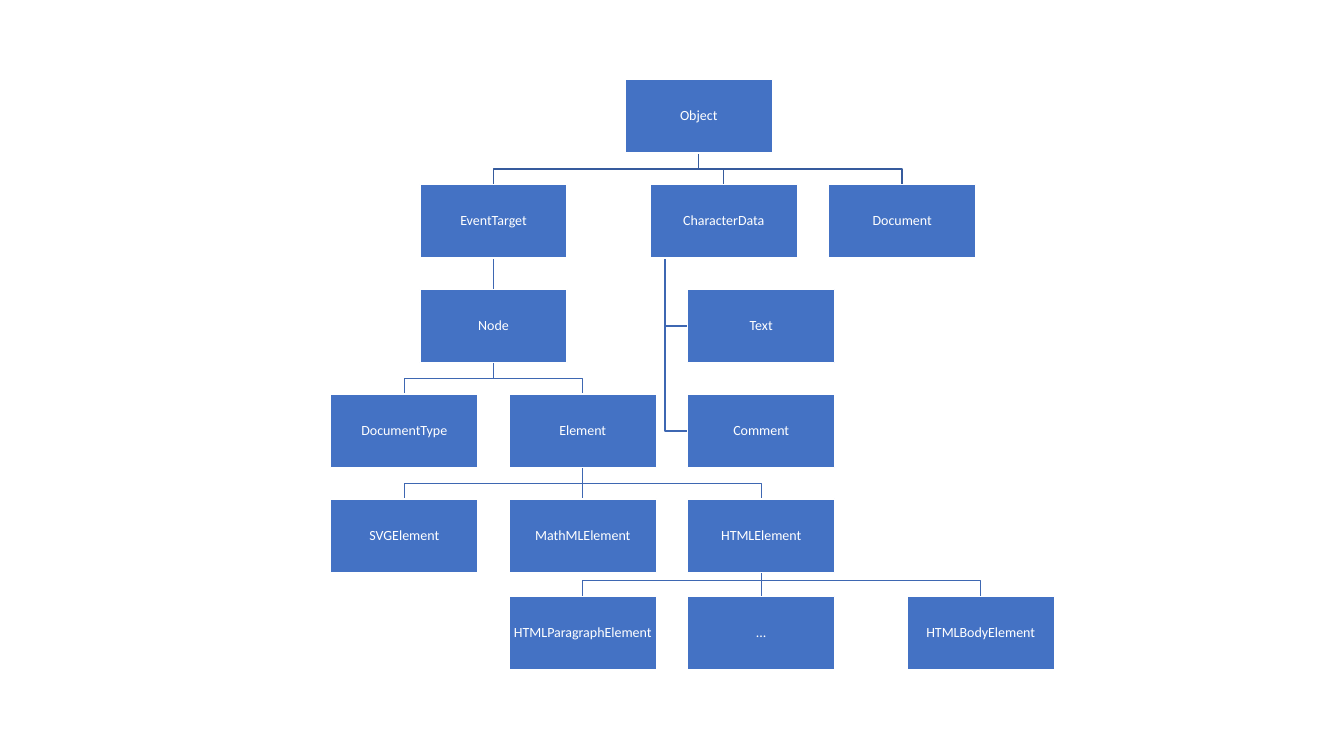
from dataclasses import dataclass

from pptx import Presentation
from pptx.dml.color import RGBColor as Color
from pptx.enum.shapes import MSO_CONNECTOR as Connector, MSO_SHAPE as Shape
from pptx.enum.text import MSO_ANCHOR as Anchor, PP_ALIGN as Align
from pptx.util import Inches, Pt
from lxml.etree import SubElement
from pptx.oxml.ns import qn


@dataclass(frozen=True)
class Theme:
    """Colours, type and line sizes of the slide."""
    fill: Color = Color.from_string("4472C4")
    paper: Color = Color.from_string("FFFFFF")
    root_link: Color = Color.from_string("365B9D")
    link: Color = Color.from_string("3E67B2")
    font: str = "Calibri"
    size: Pt = Pt(10)
    line: Pt = Pt(1)


@dataclass(frozen=True)
class Box:
    """A rectangle in inches."""
    left: float
    top: float
    width: float
    height: float

    @property
    def center(self):
        """Return the horizontal middle."""
        return self.left + self.width / 2

    @property
    def middle(self):
        """Return the vertical middle."""
        return self.top + self.height / 2

    @property
    def bottom(self):
        """Return the lower edge."""
        return self.top + self.height


@dataclass(frozen=True)
class Node:
    """A class in the hierarchy, placed by grid column and row."""
    name: str
    column: float
    row: float
    parent: str = ""
    hanging: bool = False


THEME = Theme()
SLIDE_WIDTH, SLIDE_HEIGHT = 13.33, 7.5
TREE_BOX = Box(3.28, 0.79, 7.18, 5.85)
COLUMN_STEP, ROW_STEP = 1.77, 1.04
NODE_WIDTH, NODE_HEIGHT = 1.46, 0.73
BEND_RISE = (ROW_STEP - NODE_HEIGHT) / 2
HANG_INDENT = NODE_WIDTH / 10
LAST_ROW = 4.93

HIERARCHY = [
    Node("Object", 1.65, 0),
    Node("EventTarget", 0.5, 1, "Object"),
    Node("CharacterData", 1.79, 1, "Object"),
    Node("Document", 2.79, 1, "Object"),
    Node("Node", 0.5, 2, "EventTarget"),
    Node("Text", 2, 2, "CharacterData", hanging=True),
    Node("Comment", 2, 3, "CharacterData", hanging=True),
    Node("DocumentType", 0, 3, "Node"),
    Node("Element", 1, 3, "Node"),
    Node("SVGElement", 0, 4, "Element"),
    Node("MathMLElement", 1, 4, "Element"),
    Node("HTMLElement", 2, 4, "Element"),
    Node("HTMLParagraphElement", 1, LAST_ROW, "HTMLElement"),
    Node("...", 2, LAST_ROW, "HTMLElement"),
    Node("HTMLBodyElement", 3.23, LAST_ROW, "HTMLElement"),
]


def write_text(shape, text, *, size=THEME.size, color=THEME.paper, align=Align.CENTER):
    """Put one formatted paragraph in the middle of a shape."""
    frame = shape.text_frame
    frame.word_wrap = True
    frame.vertical_anchor = Anchor.MIDDLE
    frame.margin_left = frame.margin_right = Inches(0.01)
    frame.margin_top = frame.margin_bottom = Inches(0.01)
    para = frame.paragraphs[0]
    para.alignment = align
    para.line_spacing = 0.9
    span = para.add_run()
    span.text = text
    span.font.name, span.font.size = THEME.font, size
    span.font.color.rgb = color


def draw_node(page, box, name):
    """Draw one labelled class box."""
    shape = page.shapes.add_shape(
        Shape.RECTANGLE, *map(Inches, (box.left, box.top, box.width, box.height)))
    shape.shadow.inherit = False
    shape.fill.solid()
    shape.fill.fore_color.rgb = THEME.fill
    shape.line.color.rgb = THEME.paper
    shape.line.width = THEME.line
    write_text(shape, name)


def link_points(parent, child, hanging):
    """Return the corners of the line from a parent box to a child box."""
    if hanging:
        stem = parent.left + HANG_INDENT
        return [(stem, parent.bottom), (stem, child.middle), (child.left, child.middle)]
    start, end = (parent.center, parent.bottom), (child.center, child.top)
    if parent.center == child.center:
        return [start, end]
    bend = child.top - BEND_RISE
    return [start, (parent.center, bend), (child.center, bend), end]


def draw_link(page, points, color):
    """Draw a straight connector or an open line with corners."""
    start, *rest = [(Inches(x), Inches(y)) for x, y in points]
    if len(rest) == 1:
        link = page.shapes.add_connector(Connector.STRAIGHT, *start, *rest[0])
        SubElement(link.element.spPr, qn("a:effectLst"))
    else:
        builder = page.shapes.build_freeform(*start)
        builder.add_line_segments(rest, close=False)
        link = builder.convert_to_shape()
        link.fill.background()
        link.shadow.inherit = False
    link.line.color.rgb = color
    link.line.width = THEME.line


def draw_tree(page, area, nodes):
    """Place the class hierarchy inside the given area."""
    boxes = {
        node.name: Box(area.left + node.column * COLUMN_STEP,
                       area.top + node.row * ROW_STEP, NODE_WIDTH, NODE_HEIGHT)
        for node in nodes
    }
    root = nodes[0].name
    for node in nodes[1:]:
        points = link_points(boxes[node.parent], boxes[node.name], node.hanging)
        draw_link(page, points, THEME.root_link if node.parent == root else THEME.link)
    for name, box in boxes.items():
        draw_node(page, box, name)


def main():
    """Build and save the deck."""
    deck = Presentation()
    deck.slide_width, deck.slide_height = Inches(SLIDE_WIDTH), Inches(SLIDE_HEIGHT)
    blank_layout = deck.slide_layouts[6]
    page = deck.slides.add_slide(blank_layout)
    draw_tree(page, TREE_BOX, HIERARCHY)
    deck.save("out.pptx")


if __name__ == "__main__":
    main()
